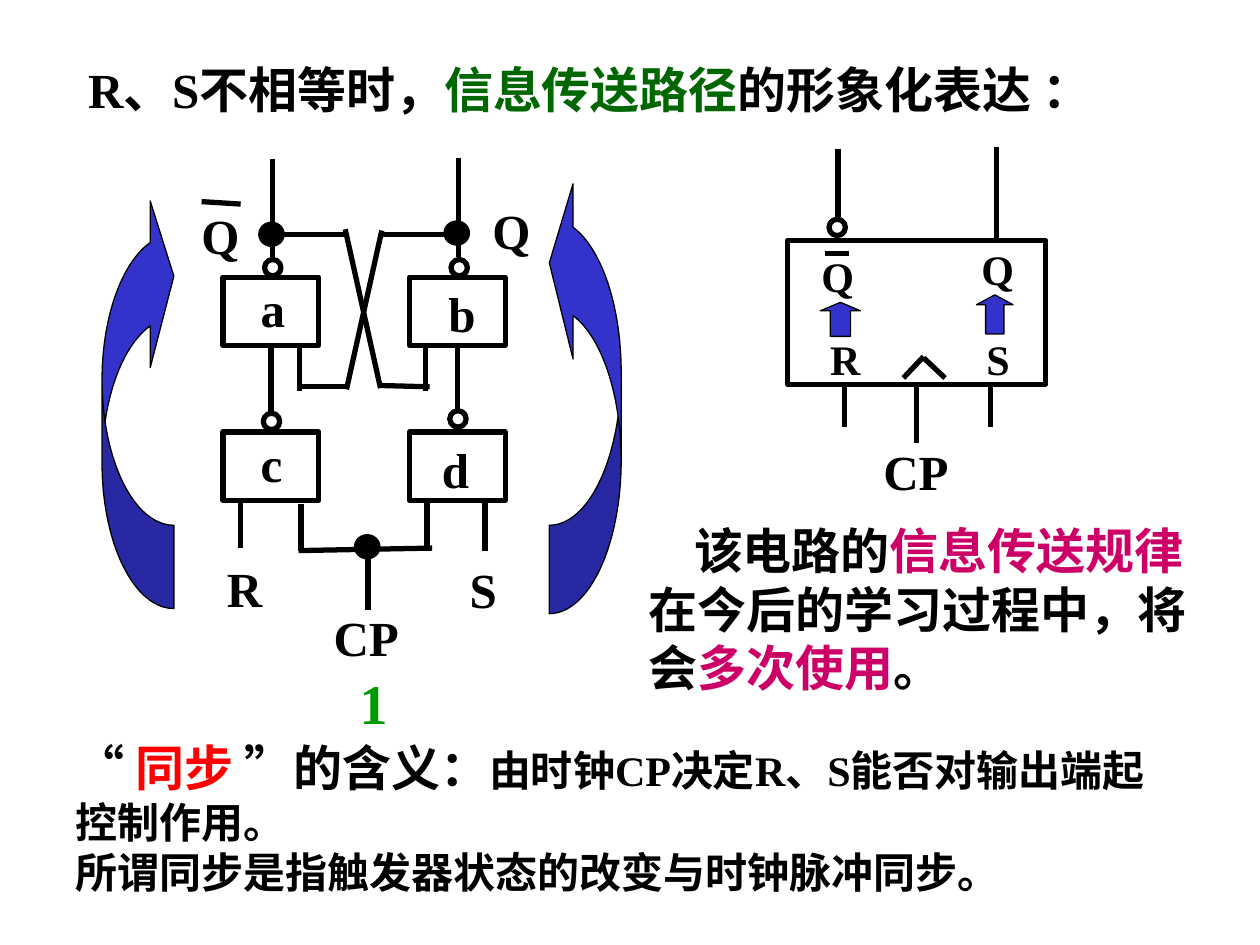
from dataclasses import dataclass
from lxml.etree import SubElement
from pptx import Presentation
from pptx.dml.color import RGBColor
from pptx.enum.lang import MSO_LANGUAGE_ID
from pptx.enum.shapes import MSO_CONNECTOR, MSO_SHAPE
from pptx.enum.text import MSO_ANCHOR, PP_ALIGN
from pptx.oxml.ns import qn
from pptx.util import Inches, Pt


@dataclass(frozen=True)
class Theme:
    font: str = "Times New Roman"
    ink: str = "000000"
    arrow: str = "3333CC"
    path_green: str = "006600"
    one_green: str = "009900"
    pink: str = "CC0066"
    red: str = "FF0000"
    large: int = 32
    body: int = 28
    small: int = 24
    wire: float = 3
    edge: float = 0.75


T = Theme()
COLS, ROWS = 100, 75
WIDTH, HEIGHT = Inches(10), Inches(7.5)

TITLE = [[("R、S不相等时，", T.ink, T.body), ("信息传送路径", T.path_green, T.body),
          ("的形象化表达 ：", T.ink, T.body)]]
RULE = [[("该电路的", T.ink, T.body), ("信息传送规律", T.pink, T.body),
         ("在今后的学习过程中，将会", T.ink, T.body),
         ("多次使用", T.pink, T.body), ("。", T.ink, T.body)]]
MEANING = [[("“ ", T.ink, T.body), ("同步", T.red, T.body), (" ”的含义：", T.ink, T.body),
            ("由时钟CP决定R、S能否对输出端起控制作用。", T.ink, T.small)],
           [("所谓同步是指触发器状态的改变与时钟脉冲同步。", T.ink, T.small)]]

GATE_COLS, GATE_ROWS, GATE_SIZE = (17.7, 32.5), (22, 34.3), (7.6, 5.4)
GATES = {"a": (0, 0), "b": (1, 0), "c": (0, 1), "d": (1, 1)}
BLOCK = (62.5, 19.1, 20.5, 11.4)

CURVED_ARROWS = [
    (MSO_SHAPE.CURVED_RIGHT_ARROW, (43.6, 13.9, 5.7, 34.8), (1.23, 2.44, 0.33)),
    (MSO_SHAPE.CURVED_LEFT_ARROW, (8.1, 15.3, 5.7, 33), (1.16, 2.32, 0.33)),
]
UP_ARROWS = [((77.5, 23.4, 2.9, 3.1), (0.5, 0.27)), ((65.1, 24, 3.2, 2.7), (0.5, 0.25))]

BUBBLE, DOT = (1.3, 1.3), (1.7, 1.6)
BUBBLES = [(21, 20.6), (35.8, 20.6), (35.7, 32.6), (20.9, 32.8), (65.8, 17.4)]
DOTS = [(20.7, 17.8), (35.4, 17.7), (28.3, 42.6)]

WIRES = [
    (21.6, 12.6, 21.6, 20.6), (36.4, 12.5, 36.4, 20.4),
    (21.5, 18.6, 27.5, 18.6), (30.3, 18.6, 36.5, 18.6),
    (27.4, 18.2, 30.2, 30.8), (30.3, 18.3, 27.5, 30.9),
    (23.7, 30.7, 27.5, 30.7), (30.3, 30.6, 34.1, 30.7),
    (23.8, 27.4, 23.8, 31), (33.8, 27.6, 33.8, 31),
    (19.1, 39.7, 19.1, 43.5), (23.9, 40, 23.9, 43.7),
    (33.9, 39.8, 33.9, 43.7), (38.5, 39.8, 38.5, 43.7),
    (23.7, 43.7, 34.3, 43.5), (29.2, 42.9, 29.2, 48.4),
    (16, 16, 19.1, 16.2), (65.5, 20.1, 67.4, 20.1),
    (66.5, 11.8, 66.5, 17.2), (79.1, 11.7, 79.1, 19.3),
    (67, 30.5, 67, 33.9), (78.6, 30.3, 78.6, 33.9),
    (71.7, 30, 73.3, 28.3), (73.3, 28.4, 75, 30),
]
JOINED_WIRES = [("a", 21.5, 32.9), ("b", 36.3, 32.5), ("block", 72.75, 35.2)]

LABELS = [
    ("a", (19.7, 21.6, 7.7, 5.7)), ("b", (34.6, 22, 4.4, 5.7)),
    ("c", (19.7, 33.9, 4.1, 5.7)), ("d", (34.1, 34.4, 4.3, 5.7)),
    ("Q", (15, 15.8, 6, 5.7)), ("Q", (38.1, 15.4, 6, 5.7)),
    ("CP", (25.5, 47.7, 7.4, 5.7)),
]
CENTERED_LABELS = [
    ("R", (17, 43.8, 4.8, 5.7), T.ink, T.body), ("S", (35.5, 43.9, 5.7, 5.7), T.ink, T.body),
    ("CP", (69.1, 34.5, 7.2, 5.7), T.ink, T.body),
    ("1", (24.6, 52.5, 10.1, 6.4), T.one_green, T.large),
]
BLOCK_LABELS = [
    ("Q", (64.2, 19.4, 5.1, 5)), ("Q", (76.9, 18.8, 5.1, 5)),
    ("R", (64.9, 26, 4.9, 5)), ("S", (77.3, 26, 4.9, 5)),
]

prs = Presentation()
prs.slide_width, prs.slide_height = WIDTH, HEIGHT
s = prs.slides.add_slide(prs.slide_layouts[6])


def col(n):
    return round(WIDTH * n / COLS)


def row(n):
    return round(HEIGHT * n / ROWS)


def place(box):
    x, y, w, h = box
    return col(x), row(y), col(w), row(h)


def add_shape(kind, box, fill=None, width=T.wire, adjust=()):
    sp = s.shapes.add_shape(kind, *place(box))
    sp.shadow.inherit = False
    if fill:
        sp.fill.solid()
        sp.fill.fore_color.rgb = RGBColor.from_string(fill)
    else:
        sp.fill.background()
    sp.line.color.rgb = RGBColor.from_string(T.ink)
    sp.line.width = Pt(width)
    for i, value in enumerate(adjust):
        sp.adjustments[i] = value
    return sp


def add_wire(x1, y1, x2, y2):
    line = s.shapes.add_connector(MSO_CONNECTOR.STRAIGHT, col(x1), row(y1), col(x2), row(y2))
    line.line.color.rgb = RGBColor.from_string(T.ink)
    line.line.width = Pt(T.wire)
    SubElement(line._element.spPr, qn("a:effectLst"))
    return line


def add_text(paragraphs, box, anchor=MSO_ANCHOR.MIDDLE, align=PP_ALIGN.LEFT, indent=0):
    sp = s.shapes.add_textbox(*place(box))
    tf = sp.text_frame
    tf.word_wrap = True
    tf.vertical_anchor = anchor
    for i, runs in enumerate(paragraphs):
        p = tf.add_paragraph() if i else tf.paragraphs[0]
        p.alignment = align
        if indent:
            p._p.get_or_add_pPr().set("indent", str(col(indent)))
        for text, color, size in runs:
            r = p.add_run()
            r.text = text
            r.font.name = T.font
            r.font.size = Pt(size)
            r.font.bold = True
            r.font.color.rgb = RGBColor.from_string(color)
            r.font.language_id = MSO_LANGUAGE_ID.SIMPLIFIED_CHINESE


for kind, box, adjust in CURVED_ARROWS:
    add_shape(kind, box, T.arrow, T.edge, adjust).rotation = 180
for box, adjust in UP_ARROWS:
    add_shape(MSO_SHAPE.UP_ARROW, box, T.arrow, T.edge, adjust)

boxes = {name: add_shape(MSO_SHAPE.RECTANGLE, (GATE_COLS[c], GATE_ROWS[r], *GATE_SIZE))
         for name, (c, r) in GATES.items()}
boxes["block"] = add_shape(MSO_SHAPE.RECTANGLE, BLOCK)

for wire in WIRES:
    add_wire(*wire)
for name, x, bottom in JOINED_WIRES:
    add_wire(x, 0, x, bottom).begin_connect(boxes[name], 2)
for spots, size, fill in ((BUBBLES, BUBBLE, None), (DOTS, DOT, T.ink)):
    for spot in spots:
        add_shape(MSO_SHAPE.OVAL, (*spot, *size), fill)

for labels, size in ((LABELS, T.body), (BLOCK_LABELS, T.small)):
    for text, box in labels:
        add_text([[(text, T.ink, size)]], box, MSO_ANCHOR.TOP)
for text, box, color, size in CENTERED_LABELS:
    add_text([[(text, color, size)]], box, align=PP_ALIGN.CENTER)

add_text(TITLE, (6, 4.2, 87.9, 5.7))
add_text(RULE, (50.5, 40.8, 45.5, 15), indent=3.6)
add_text(MEANING, (5, 58, 88.3, 13.7))

prs.save("out.pptx")
